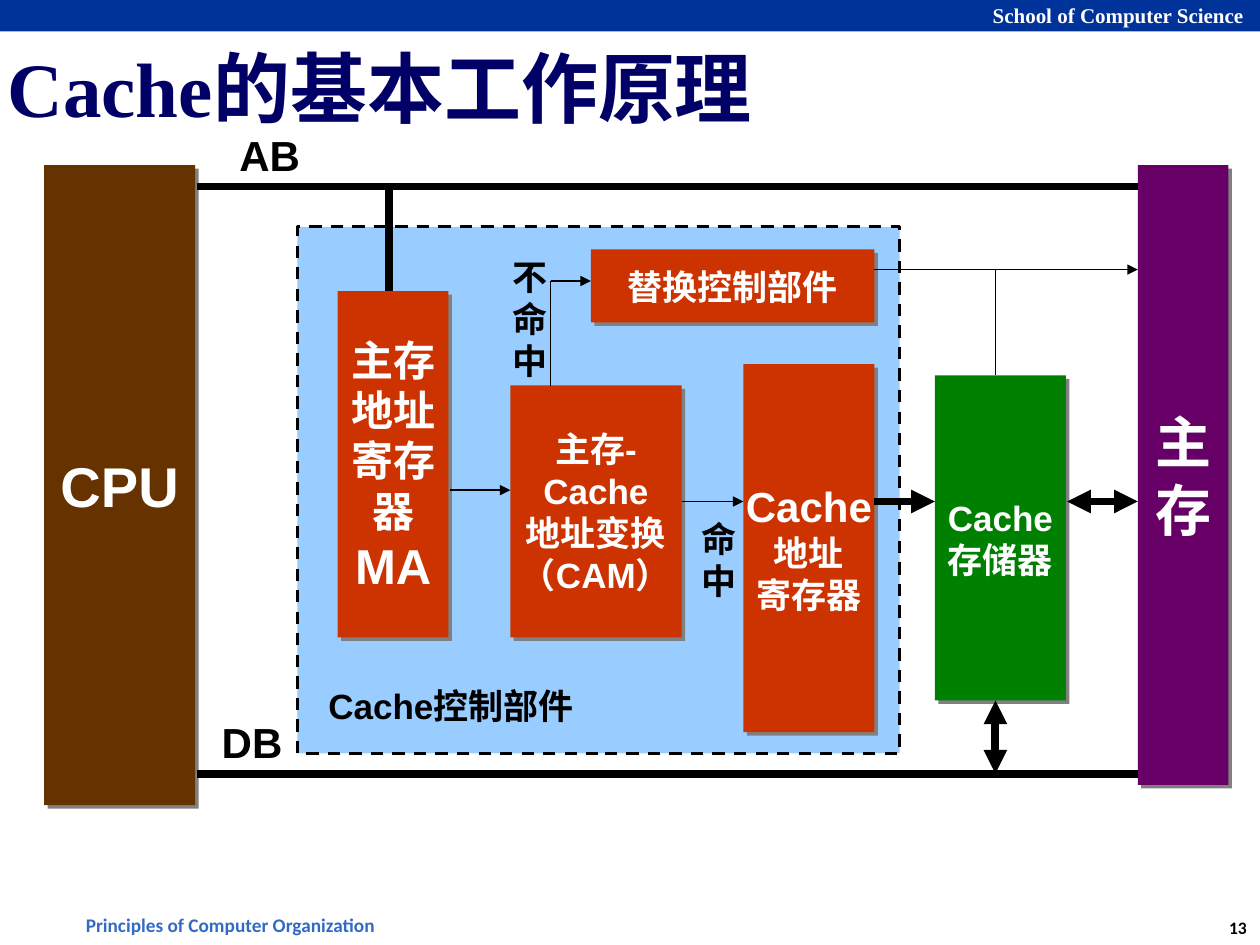
from dataclasses import dataclass

from lxml import etree
from pptx import Presentation
from pptx.dml.color import RGBColor
from pptx.enum import dml, shapes, text
from pptx.oxml import ns
from pptx.util import Inches, Pt


@dataclass(frozen=True)
class Theme:
    title_font: str = "Times New Roman"
    diagram_font: str = "Arial"
    footer_font: str = "Calibri"
    title_size: int = 44
    huge: int = 32
    large: int = 24
    medium: int = 20
    banner: str = "003399"
    title: str = "000066"
    footer: str = "326AC6"
    region: str = "99CCFF"
    cpu: str = "663300"
    memory: str = "660066"
    control: str = "CC3300"
    store: str = "008000"
    shadow: str = "808080"
    black: str = "000000"
    white: str = "FFFFFF"
    thin: float = 0.75
    bus: float = 4.5


THEME = Theme()
TITLE = "Cache的基本工作原理"
CENTER, LEFT = text.PP_ALIGN.CENTER, text.PP_ALIGN.LEFT

# wording, place, font, size, colour, alignment
PAGE_TEXTS = [
    ("13", (9.64, 7.23, 0.37, 0.27), THEME.footer_font, 10, THEME.black, CENTER),
    ("School of Computer Science", (7.78, -0.03, 2.21, 0.3), THEME.title_font, 12, THEME.white, LEFT),
    ("Principles of Computer Organization", (0.55, 7.2, 2.56, 0.29), THEME.footer_font, 11, THEME.footer, CENTER),
]

# place, fill, lines of (wording, size)
BLOCKS = [
    ((0.35, 1.31, 1.2, 5.08), THEME.cpu, [("CPU", THEME.huge)]),
    ((9.03, 1.31, 0.72, 4.92), THEME.memory, [("主", THEME.huge), ("存", THEME.huge)]),
    ((2.68, 2.31, 0.88, 2.75), THEME.control,
     [("主存", THEME.large), ("地址", THEME.large), ("寄存", THEME.large), ("器", THEME.large), ("MA", 28)]),
    ((4.05, 3.06, 1.36, 2), THEME.control,
     [(line, THEME.medium) for line in ("主存-", "Cache", "地址变换", "（CAM）")]),
    ((7.42, 2.98, 1.04, 2.58), THEME.store, [("Cache", THEME.medium), ("存储器", THEME.medium)]),
    ((5.9, 2.89, 1.04, 2.92), THEME.control,
     [("Cache", THEME.large), ("地址", THEME.medium), ("寄存器", THEME.medium)]),
    ((4.69, 1.98, 2.25, 0.58), THEME.control, [("替换控制部件", THEME.medium)]),
]

# wording, place, size
LABELS = [
    ("AB", (1.64, 0.98, 1, 0.5), THEME.large),
    ("DB", (1.64, 5.64, 0.72, 0.5), THEME.large),
    ("不命中", (3.97, 1.98, 0.48, 1.1), THEME.medium),
    ("命中", (5.39, 4.06, 0.64, 0.77), THEME.medium),
    ("Cache控制部件", (2.47, 5.38, 2.22, 0.43), THEME.medium),
]

CPU_EDGE, MEMORY_EDGE = 1.56, 9.03
ADDRESS_BUS, DATA_BUS = 1.48, 6.14
STORE_X, MISS_X, HIT_Y, MISS_Y, REPLACE_Y = 7.9, 4.37, 3.98, 2.23, 2.14

# start, end, width, arrowheads
WIRES = [
    ((CPU_EDGE, ADDRESS_BUS), (MEMORY_EDGE, ADDRESS_BUS), THEME.bus, ()),
    ((CPU_EDGE, DATA_BUS), (MEMORY_EDGE, DATA_BUS), THEME.bus, ()),
    ((3.09, ADDRESS_BUS), (3.09, 2.31), THEME.bus, ()),
    ((3.57, 3.89), (4.05, 3.89), THEME.thin, ("tailEnd",)),
    ((5.41, HIT_Y), (5.9, HIT_Y), THEME.thin, ("tailEnd",)),
    ((6.94, HIT_Y), (7.42, HIT_Y), THEME.bus, ("tailEnd",)),
    ((MEMORY_EDGE, HIT_Y), (8.47, HIT_Y), THEME.bus, ("headEnd", "tailEnd")),
    ((STORE_X, 5.56), (STORE_X, DATA_BUS), THEME.bus, ("headEnd", "tailEnd")),
    ((MISS_X, MISS_Y), (MISS_X, 3.06), THEME.thin, ()),
    ((MISS_X, MISS_Y), (4.69, MISS_Y), THEME.thin, ("tailEnd",)),
    ((6.94, REPLACE_Y), (MEMORY_EDGE, REPLACE_Y), THEME.thin, ("tailEnd",)),
    ((STORE_X, REPLACE_Y), (STORE_X, 2.98), THEME.thin, ()),
]


def inches(values):
    return [Inches(value) for value in values]


def color(value):
    return RGBColor.from_string(value)


def style(paragraph, font_name, size, font_color, alignment=CENTER):
    paragraph.alignment = alignment
    font = paragraph.font
    font.name, font.size, font.bold = font_name, Pt(size), True
    font.color.rgb = color(font_color)


def add_rectangle(slide, place, fill):
    shape = slide.shapes.add_shape(shapes.MSO_SHAPE.RECTANGLE, *inches(place))
    shape.fill.solid()
    shape.fill.fore_color.rgb = color(fill)
    shape.line.fill.background()
    shape.shadow.inherit = False
    return shape


def add_text(slide, wording, place, font_name, size, font_color, alignment=CENTER, wrap=False):
    frame = slide.shapes.add_textbox(*inches(place)).text_frame
    frame.word_wrap = wrap
    frame.text = wording
    style(frame.paragraphs[0], font_name, size, font_color, alignment)


def add_block(slide, place, fill, lines):
    shape = add_rectangle(slide, place, fill)
    effects = shape._element.spPr.find(ns.qn("a:effectLst"))
    shadow = etree.SubElement(effects, ns.qn("a:outerShdw"), dist=str(Pt(2.8)), dir="2700000",
                              algn="ctr", rotWithShape="0")
    etree.SubElement(shadow, ns.qn("a:srgbClr"), val=THEME.shadow)
    frame = shape.text_frame
    frame.word_wrap = False
    frame.vertical_anchor = text.MSO_ANCHOR.MIDDLE
    frame.text = "\n".join(wording for wording, _ in lines)
    for paragraph, (_, size) in zip(frame.paragraphs, lines):
        style(paragraph, THEME.diagram_font, size, THEME.white)


def add_wire(slide, start, end, width, arrowheads):
    wire = slide.shapes.add_connector(shapes.MSO_CONNECTOR.STRAIGHT, *inches(start + end))
    wire.line.width = Pt(width)
    wire.line.color.rgb = color(THEME.black)
    properties = wire._element.spPr
    outline = properties.find(ns.qn("a:ln"))
    for arrowhead in arrowheads:
        etree.SubElement(outline, ns.qn(f"a:{arrowhead}"), type="triangle")
    etree.SubElement(properties, ns.qn("a:effectLst"))


def add_title(slide):
    title = slide.shapes.title
    title.left, title.top, title.width, title.height = inches((0.02, 0.27, 9.96, 0.83))
    frame = title.text_frame
    frame.margin_left = frame.margin_right = frame.margin_top = frame.margin_bottom = Inches(0.04)
    frame.vertical_anchor = text.MSO_ANCHOR.MIDDLE
    frame.auto_size = text.MSO_AUTO_SIZE.NONE
    frame.text = TITLE
    style(frame.paragraphs[0], THEME.title_font, THEME.title_size, THEME.title, LEFT)


def main():
    presentation = Presentation()
    presentation.slide_width, presentation.slide_height = inches((10, 7.5))
    slide = presentation.slides.add_slide(presentation.slide_layouts[5])

    add_rectangle(slide, (0, 0, 10, 0.25), THEME.banner)
    for page_text in PAGE_TEXTS:
        add_text(slide, *page_text)
    add_title(slide)

    region = add_rectangle(slide, (2.36, 1.8, 4.78, 4.18), THEME.region)
    region.line.color.rgb = color(THEME.black)
    region.line.width = Pt(1.75)
    region.line.dash_style = dml.MSO_LINE.DASH

    for block in BLOCKS:
        add_block(slide, *block)
    for wire in WIRES:
        add_wire(slide, *wire)
    for wording, place, size in LABELS:
        add_text(slide, wording, place, THEME.diagram_font, size, THEME.black, wrap=True)

    presentation.save("out.pptx")


if __name__ == "__main__":
    main()
